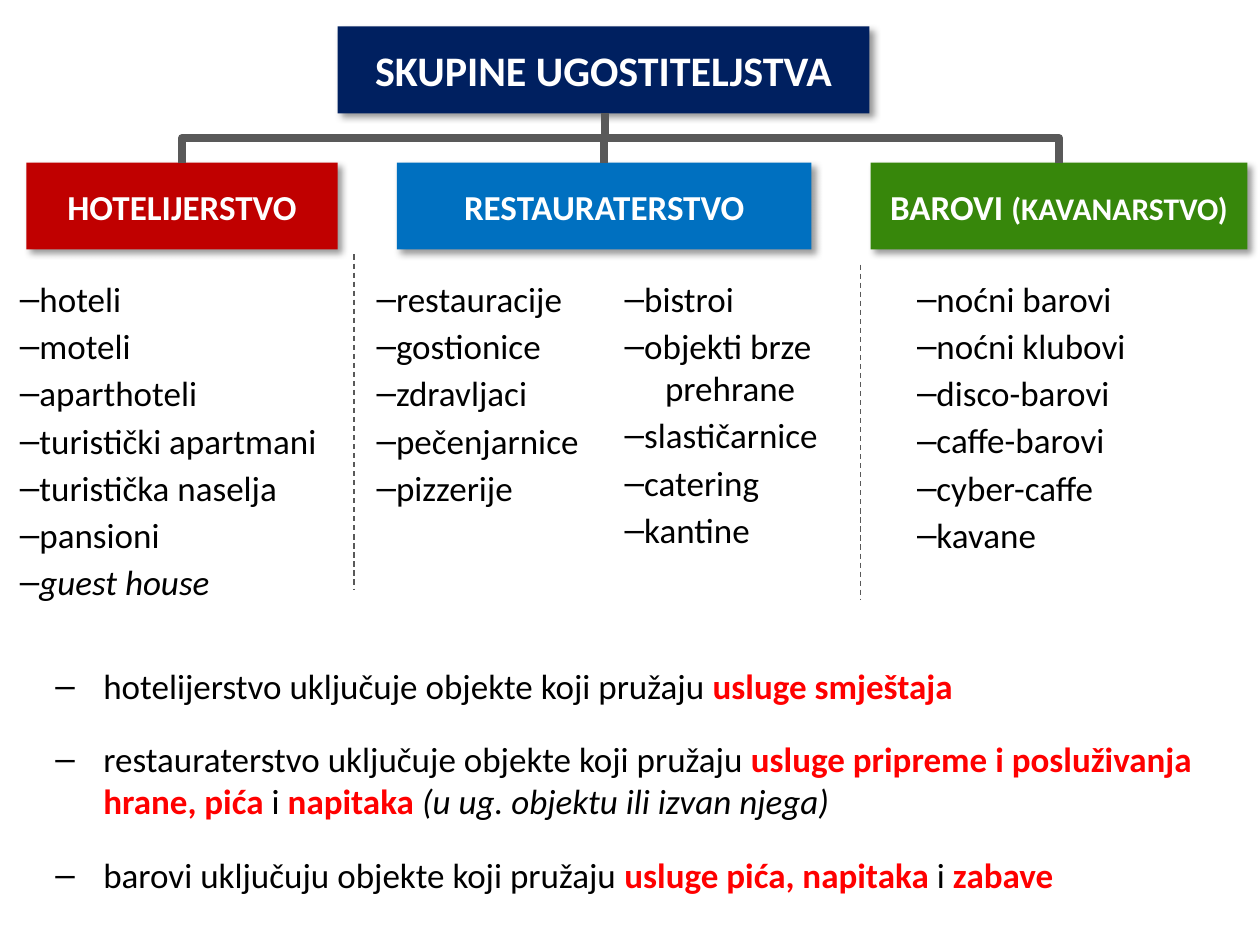
from lxml.etree import SubElement
from pptx import Presentation
from pptx.dml.color import RGBColor
from pptx.enum.dml import MSO_LINE
from pptx.enum.shapes import MSO_CONNECTOR, MSO_SHAPE
from pptx.enum.text import MSO_ANCHOR, MSO_AUTO_SIZE, PP_ALIGN
from pptx.oxml.ns import qn
from pptx.util import Inches, Pt

NAVY = RGBColor(0x00, 0x20, 0x60)
CRIMSON = RGBColor(0xC0, 0x00, 0x00)
BLUE = RGBColor(0x00, 0x70, 0xC0)
GREEN = RGBColor(0x37, 0x87, 0x0B)
GRAY = RGBColor(0x59, 0x59, 0x59)
RED = RGBColor(0xFF, 0x00, 0x00)
BLACK = RGBColor(0x00, 0x00, 0x00)
WHITE = RGBColor(0xFF, 0xFF, 0xFF)

KEY = {"color": RED, "bold": True}
ITALIC = {"italic": True}

# Boxes are left, top, width, height in inches
TITLE_BOX = (2.68, 0.21, 4.22, 0.69)
GROUP_TOP, GROUP_HEIGHT = 1.29, 0.69
GROUPS = [
    (0.21, 2.47, CRIMSON, [("HOTELIJERSTVO", {})]),
    (3.15, 3.29, BLUE, [("RESTAURATERSTVO", {})]),
    (6.91, 2.99, GREEN, [("BAROVI ", {}), ("(KAVANARSTVO)", {"size": 18})]),
]
LIST_TOP = 2.11
LISTS = [
    (0.06, 2.88, 2.71, ["hoteli", "moteli", "aparthoteli", "turistički apartmani",
                        "turistička naselja", "pansioni", ("guest house", ITALIC)]),
    (2.89, 1.99, 1.95, ["restauracije", "gostionice", "zdravljaci",
                        "pečenjarnice", "pizzerije"]),
    (4.86, 2.02, 2.29, ["bistroi", "objekti brze\v\tprehrane", "slastičarnice",
                        "catering", "kantine"]),
    (7.18, 2.36, 2.33, ["noćni barovi", "noćni klubovi", "disco-barovi",
                        "caffe-barovi", "cyber-caffe", "kavane"]),
]
DIVIDERS = [(2.81, 2.02), (6.83, 2.1)]
DIVIDER_LENGTH = 2.66
SUMMARY_BOX = (0.34, 5.18, 9.69, 1.97)
SUMMARY = [
    [("hotelijerstvo uključuje objekte koji pružaju ", {}), ("usluge smještaja", KEY)],
    [("restauraterstvo uključuje objekte koji pružaju ", {}),
     ("usluge pripreme i posluživanja hrane, pića ", KEY), ("i", {}),
     (" napitaka ", KEY), ("(u ug. objektu ili izvan njega)", ITALIC)],
    [("barovi uključuju objekte koji pružaju ", {}),
     ("usluge pića, napitaka", KEY), (" i ", {}), ("zabave", KEY)],
]


def add_text(para, text, size=20, color=BLACK, bold=False, italic=False):
    """Append text; a vertical tab in it becomes a line break."""
    for number, line in enumerate(text.split("\v")):
        if number:
            para.add_line_break()
        span = para.add_run()
        span.text = line
        font = span.font
        font.name, font.size = "Calibri", Pt(size)
        font.bold, font.italic = bold, italic
        font.color.rgb = color


def set_bullet(para, margin, indent, tab=None):
    props = para._p.get_or_add_pPr()
    props.set("marL", str(Inches(margin)))
    props.set("indent", str(Inches(indent)))
    SubElement(props, qn("a:buFont"), typeface="Arial")
    SubElement(props, qn("a:buChar"), char="–")
    if tab:
        stops = SubElement(props, qn("a:tabLst"))
        SubElement(stops, qn("a:tab"), pos=str(Inches(tab)), algn="l")


def next_para(frame, number):
    return frame.add_paragraph() if number else frame.paragraphs[0]


def place(shape, box):
    shape.left, shape.top, shape.width, shape.height = map(Inches, box)


def add_shadow(shape):
    shape.shadow.inherit = False
    effects = shape._element.spPr.find(qn("a:effectLst"))
    shadow = SubElement(effects, qn("a:outerShdw"), blurRad=str(Pt(4)),
                        dist=str(Pt(3)), dir="2700000", algn="tl", rotWithShape="0")
    color = SubElement(shadow, qn("a:srgbClr"), val="000000")
    SubElement(color, qn("a:alpha"), val="40000")


def format_heading(shape, fill, spans, size):
    shape.fill.solid()
    shape.fill.fore_color.rgb = fill
    shape.line.fill.background()
    add_shadow(shape)
    frame = shape.text_frame
    frame.word_wrap = True
    frame.auto_size = MSO_AUTO_SIZE.NONE
    frame.vertical_anchor = MSO_ANCHOR.MIDDLE
    para = frame.paragraphs[0]
    para.alignment = PP_ALIGN.CENTER
    for text, style in spans:
        add_text(para, text, **{"size": size, "color": WHITE, "bold": True, **style})


def add_line(page, kind, start, end, width):
    line = page.shapes.add_connector(kind, *map(Inches, (*start, *end)))
    line.line.color.rgb = GRAY
    line.line.width = Pt(width)
    SubElement(line._element.spPr, qn("a:effectLst"))
    return line


def add_branch(page, start, end):
    """Elbow that leaves downwards: a horizontal elbow turned a quarter."""
    (x1, y1), (x2, y2) = start, end
    middle_x, middle_y = (x1 + x2) / 2, (y1 + y2) / 2
    half_width, half_height = (y2 - y1) / 2, abs(x2 - x1) / 2
    side = 1 if x2 > x1 else -1
    branch = add_line(page, MSO_CONNECTOR.ELBOW,
                      (middle_x + side * half_width, middle_y - half_height),
                      (middle_x - side * half_width, middle_y + half_height), 4.5)
    turn = 270 if side > 0 else 90
    branch._element.spPr.find(qn("a:xfrm")).set("rot", str(turn * 60000))


def add_chart_of_groups(page, box):
    format_heading(page.shapes.title, NAVY, [("SKUPINE UGOSTITELJSTVA", {})], 24)
    place(page.shapes.title, box)
    left, top, width, height = box
    start = (left + width / 2 + 0.01, top + height)
    for group_left, group_width, fill, spans in GROUPS:
        group = page.shapes.add_shape(MSO_SHAPE.RECTANGLE, 0, 0, 0, 0)
        place(group, (group_left, GROUP_TOP, group_width, GROUP_HEIGHT))
        format_heading(group, fill, spans, 20)
        add_branch(page, start, (group_left + group_width / 2, GROUP_TOP))


def add_list(page, box, items):
    frame = page.shapes.add_textbox(*map(Inches, box)).text_frame
    frame.word_wrap = True
    frame.auto_size = MSO_AUTO_SIZE.SHAPE_TO_FIT_TEXT
    frame.margin_top = Inches(0.09)
    for number, item in enumerate(items):
        text, style = (item, {}) if isinstance(item, str) else item
        para = next_para(frame, number)
        para.level = 1
        set_bullet(para, 0, -0.31, tab=0.32 if "\t" in text else None)
        para.space_before = Pt(3 if number else 0)
        add_text(para, text, **style)


def fill_summary(body, box):
    place(body, box)
    frame = body.text_frame
    frame.auto_size = MSO_AUTO_SIZE.NONE
    frame.margin_top = Inches(0.09)
    for number, spans in enumerate(SUMMARY):
        para = next_para(frame, number)
        set_bullet(para, 0.38, -0.38)
        para.space_before = Pt(18 if number else 0)
        for text, style in spans:
            add_text(para, text, **style)


def main():
    deck = Presentation()
    deck.slide_width, deck.slide_height = Inches(10), Inches(7.5)
    page = deck.slides.add_slide(deck.slide_layouts[1])
    # Summary and hierarchy
    fill_summary(page.placeholders[1], SUMMARY_BOX)
    add_chart_of_groups(page, TITLE_BOX)
    # Lists under the groups, with dashed dividers
    for left, width, height, items in LISTS:
        add_list(page, (left, LIST_TOP, width, height), items)
    for x, top in DIVIDERS:
        divider = add_line(page, MSO_CONNECTOR.STRAIGHT, (x, top),
                           (x, top + DIVIDER_LENGTH), 0.75)
        divider.line.dash_style = MSO_LINE.DASH
    deck.save("out.pptx")


if __name__ == "__main__":
    main()
